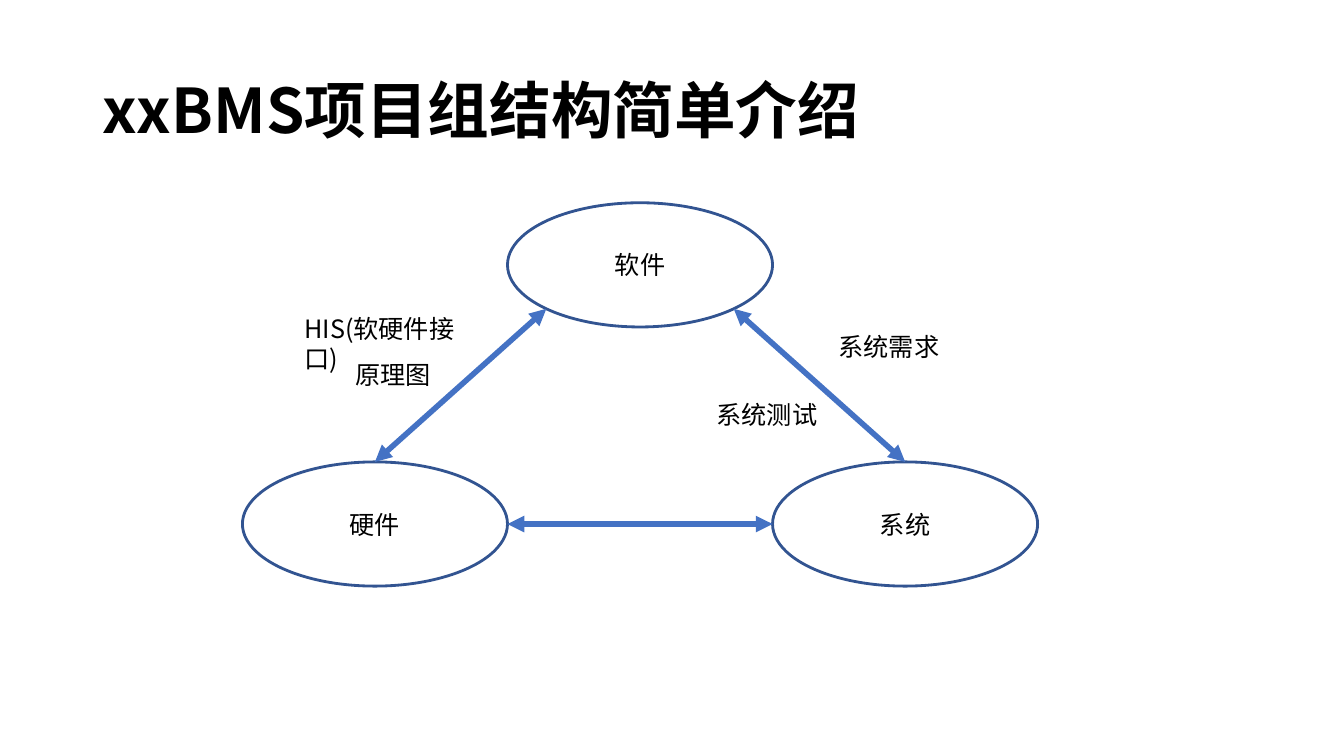
from dataclasses import dataclass
from math import sqrt

from lxml.etree import SubElement
from pptx import Presentation
from pptx.dml.color import RGBColor
from pptx.enum.shapes import MSO_CONNECTOR as Connector, MSO_SHAPE as Shape
from pptx.enum.text import MSO_ANCHOR as Anchor, PP_ALIGN as Align
from pptx.oxml.ns import qn
from pptx.util import Cm, Pt


@dataclass(frozen=True)
class Theme:
    """Colours, font and sizes of the deck."""
    font: str = "Noto Sans CJK SC"
    text: RGBColor = RGBColor(0x00, 0x00, 0x00)
    outline: RGBColor = RGBColor(0x32, 0x54, 0x91)
    arrow: RGBColor = RGBColor(0x44, 0x72, 0xC4)
    title_size: Pt = Pt(44)
    body_size: Pt = Pt(18)
    outline_width: Pt = Pt(2)
    arrow_width: Pt = Pt(4)


@dataclass(frozen=True)
class Box:
    """A rectangle measured in centimetres."""
    left: float
    top: float
    width: float
    height: float

    def lengths(self):
        """Return the four measures as lengths."""
        return Cm(self.left), Cm(self.top), Cm(self.width), Cm(self.height)

    def point(self, across, down):
        """Return the point at the given fractions of the box."""
        return Cm(self.left + across * self.width), Cm(self.top + down * self.height)


THEME = Theme()
TITLE = Box(2.33, 1.01, 29.21, 3.68)
DIAGRAM = Box(6.11, 5.11, 20.04, 9.66)
NODE_HEIGHT = 3.13
LABEL_HEIGHT = 0.94 + 0.08
LABELS = [
    ("系统需求", 14.77, 3.12, 3.07, False),
    ("系统测试", 11.7, 4.82, 3.07, False),
    ("HIS(软硬件接口)", 1.31, 2.66, 5.03, True),
    ("原理图", 2.6, 3.81, 2.44, False),
]


def write(para, text, size, bold=False):
    """Add one styled run to a paragraph."""
    span = para.add_run()
    span.text = text
    span.font.name = THEME.font
    span.font.size = size
    span.font.bold = bold
    span.font.color.rgb = THEME.text
    SubElement(span.font._element, qn("a:ea")).set("typeface", THEME.font)


def add_title(page, box, text):
    """Place the bold heading, centred vertically in its box."""
    frame = page.shapes.add_textbox(*box.lengths()).text_frame
    frame.word_wrap = True
    frame.vertical_anchor = Anchor.MIDDLE
    para = frame.paragraphs[0]
    para.line_spacing = 0.9
    write(para, text, THEME.title_size, bold=True)


def add_node(page, box, text):
    """Draw one outlined ellipse with a centred name."""
    node = page.shapes.add_shape(Shape.OVAL, *box.lengths())
    node.shadow.inherit = False
    node.fill.background()
    node.line.color.rgb = THEME.outline
    node.line.width = THEME.outline_width
    node.text_frame.vertical_anchor = Anchor.MIDDLE
    para = node.text_frame.paragraphs[0]
    para.alignment = Align.CENTER
    write(para, text, THEME.body_size)


def add_arrow(page, start, end):
    """Draw a line with an arrowhead at both ends."""
    arrow = page.shapes.add_connector(Connector.STRAIGHT, *start, *end)
    arrow.line.color.rgb = THEME.arrow
    arrow.line.width = THEME.arrow_width
    outline = arrow.line._get_or_add_ln()
    for tag in ("a:headEnd", "a:tailEnd"):
        SubElement(outline, qn(tag)).set("type", "triangle")
    SubElement(arrow._element.spPr, qn("a:effectLst"))


def add_label(page, box, text, wrap):
    """Place one note beside an arrow."""
    frame = page.shapes.add_textbox(*box.lengths()).text_frame
    frame.word_wrap = wrap
    write(frame.paragraphs[0], text, THEME.body_size)


def add_diagram(page, box):
    """Lay out the triangle of teams, its arrows and its notes."""
    width = box.width / 3
    low = box.top + box.height - NODE_HEIGHT
    software = Box(box.left + width, box.top, width, NODE_HEIGHT)
    system = Box(box.left + 2 * width, low, width, NODE_HEIGHT)
    hardware = Box(box.left, low, width, NODE_HEIGHT)
    for node, name in ((software, "软件"), (system, "系统"), (hardware, "硬件")):
        add_node(page, node, name)

    diagonal = sqrt(0.5) / 2
    lower = 0.5 + diagonal
    add_arrow(page, system.point(0.5, 0), software.point(0.5 + diagonal, lower))
    add_arrow(page, hardware.point(0.5, 0), software.point(0.5 - diagonal, lower))
    add_arrow(page, system.point(0, 0.5), hardware.point(1, 0.5))

    for text, across, down, span_width, wrap in LABELS:
        label = Box(box.left + across, box.top + down, span_width, LABEL_HEIGHT)
        add_label(page, label, text, wrap)


def main():
    """Build the slide and save the deck."""
    deck = Presentation()
    deck.slide_width, deck.slide_height = Cm(33.87), Cm(19.05)
    page = deck.slides.add_slide(deck.slide_layouts[6])
    add_title(page, TITLE, "xxBMS项目组结构简单介绍")
    add_diagram(page, DIAGRAM)
    deck.save("out.pptx")


if __name__ == "__main__":
    main()
